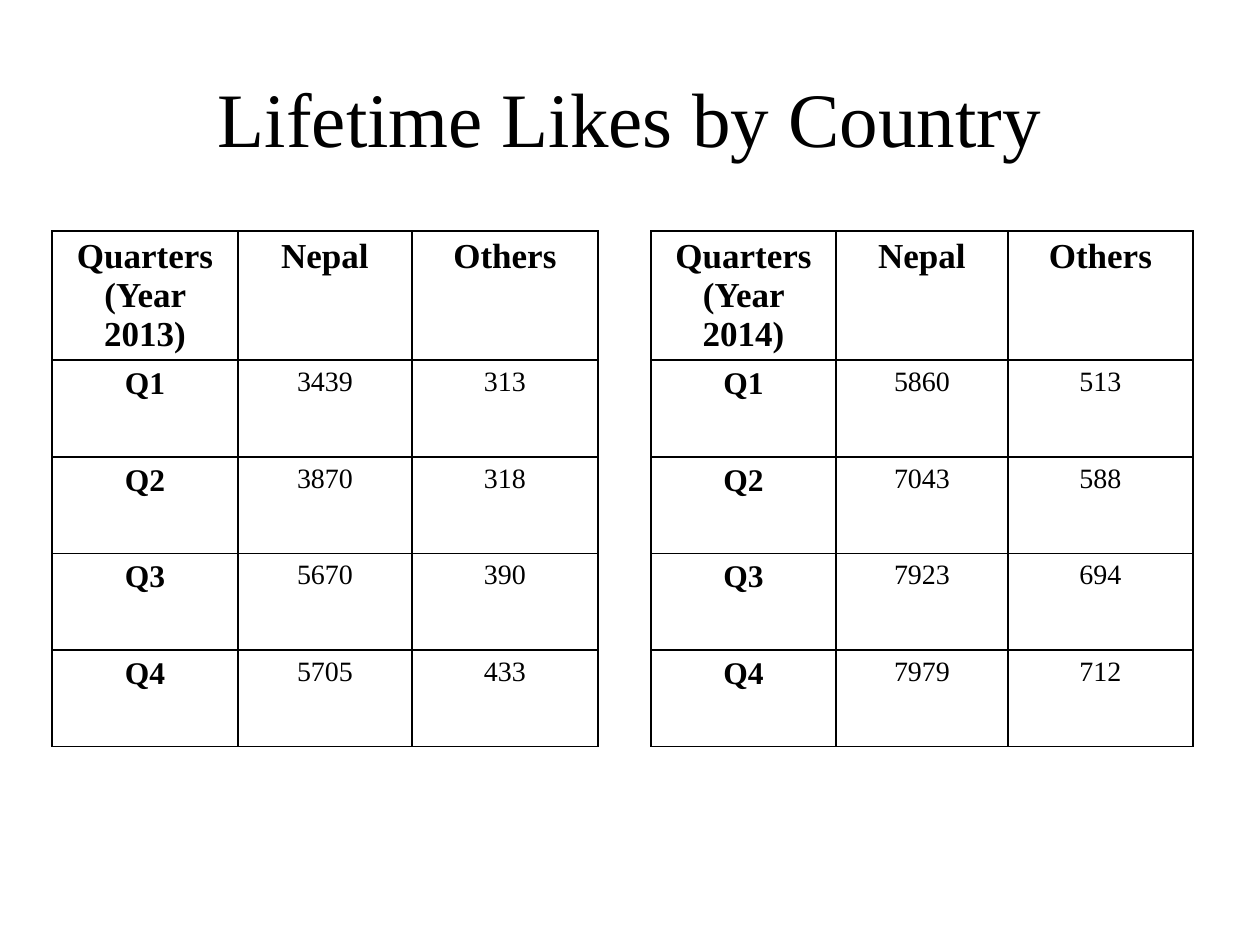
from lxml import etree
from pptx import Presentation
from pptx.dml.color import RGBColor
from pptx.enum.text import MSO_ANCHOR, PP_ALIGN
from pptx.oxml.ns import qn
from pptx.util import Emu, Pt

CENTER = PP_ALIGN.CENTER
MIDDLE = MSO_ANCHOR.MIDDLE
TITLE_ONLY = 5
PX_PER_INCH = 126
FONT = "Times New Roman"
COLORS = {"text": "000000", "border": "000000", "paper": "FFFFFF"}

LIKES_2013 = [
    ("Quarters (Year 2013)", "Nepal", "Others"),
    ("Q1", "3439", "313"),
    ("Q2", "3870", "318"),
    ("Q3", "5670", "390"),
    ("Q4", "5705", "433"),
]
LIKES_2014 = [
    ("Quarters (Year 2014)", "Nepal", "Others"),
    ("Q1", "5860", "513"),
    ("Q2", "7043", "588"),
    ("Q3", "7923", "694"),
    ("Q4", "7979", "712"),
]


def px(length):
    return Emu(round(length * 914400 / PX_PER_INCH))


def write(frame, wording, size, bold=False):
    paragraph = frame.paragraphs[0]
    paragraph.alignment = CENTER
    run = paragraph.add_run()
    run.text = wording
    run.font.name = FONT
    run.font.size = Pt(size)
    run.font.bold = bold
    run.font.color.rgb = RGBColor.from_string(COLORS["text"])


def add_borders(cell):
    properties = cell._tc.get_or_add_tcPr()
    for position, side in enumerate(("a:lnL", "a:lnR", "a:lnT", "a:lnB")):
        line = etree.Element(qn(side), w=str(Pt(1)))
        fill = etree.SubElement(line, qn("a:solidFill"))
        etree.SubElement(fill, qn("a:srgbClr"), val=COLORS["border"])
        properties.insert(position, line)


def place_title(slide, left, top, width, height):
    title = slide.shapes.title
    title.left, title.top = px(left), px(top)
    title.width, title.height = px(width), px(height)
    title.text_frame.word_wrap = True
    title.text_frame.vertical_anchor = MIDDLE
    write(title.text_frame, "Lifetime Likes by Country", 44)


def add_likes_table(slide, likes, left, top, width, height, nepal_width):
    table = slide.shapes.add_table(
        len(likes), len(likes[0]), px(left), px(top), px(width), px(height)
    ).table
    side_width = (width - nepal_width) / 2
    for column, column_width in zip(table.columns, (side_width, nepal_width, side_width)):
        column.width = px(column_width)
    for row_index, entries in enumerate(likes):
        table.rows[row_index].height = px(height / len(likes))
        for column_index, entry in enumerate(entries):
            cell = table.cell(row_index, column_index)
            cell.fill.solid()
            cell.fill.fore_color.rgb = RGBColor.from_string(COLORS["paper"])
            add_borders(cell)
            is_header = row_index == 0
            is_quarter = column_index == 0
            size = 20 if is_header else 18 if is_quarter else 16
            write(cell.text_frame, entry, size, is_header or is_quarter)


def main():
    presentation = Presentation()
    presentation.slide_width, presentation.slide_height = px(1260), px(945)
    slide = presentation.slides.add_slide(presentation.slide_layouts[TITLE_ONLY])
    place_title(slide, 63, 38, 1134, 157)
    add_likes_table(slide, LIKES_2013, 52, 231, 546, 483, 174)
    add_likes_table(slide, LIKES_2014, 651, 231, 542, 483, 172)
    presentation.save("out.pptx")


if __name__ == "__main__":
    main()
